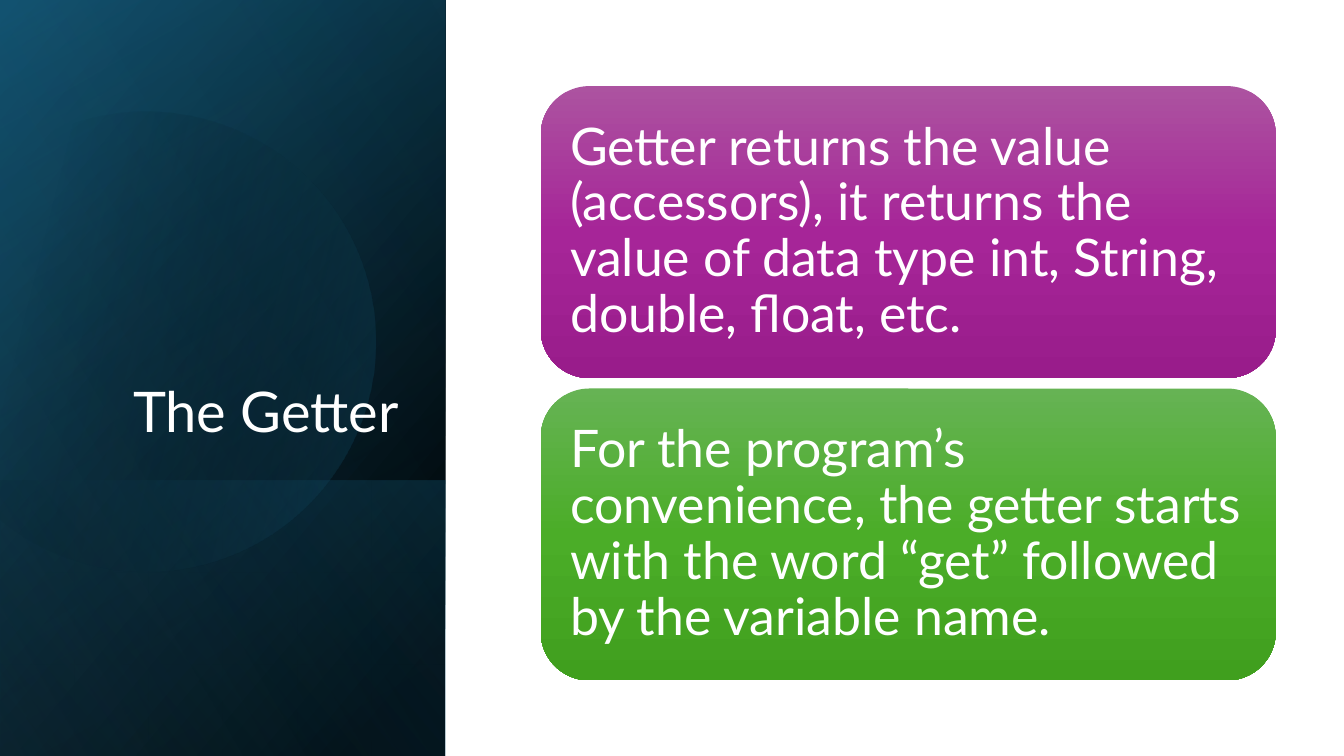
"""Build the slide on getters: a dark gradient panel with a title and two coloured cards."""
from dataclasses import dataclass
from itertools import pairwise
from math import cos, radians, sin, tan

from lxml import etree
from pptx import Presentation
from pptx.dml.color import RGBColor
from pptx.enum.shapes import MSO_SHAPE
from pptx.enum.text import MSO_ANCHOR, PP_ALIGN
from pptx.oxml.ns import qn
from pptx.shapes.autoshape import Shape
from pptx.slide import Slide
from pptx.util import Pt

PX = 9525
RECT = MSO_SHAPE.RECTANGLE
ROUNDED = MSO_SHAPE.ROUNDED_RECTANGLE
MIDDLE, BOTTOM = MSO_ANCHOR.MIDDLE, MSO_ANCHOR.BOTTOM
LEFT, RIGHT = PP_ALIGN.LEFT, PP_ALIGN.RIGHT

FONT = "Lato"
WHITE, BLACK = "FFFFFF", "000000"
DEEP_BLUE, TEAL, SKY = "104862", "156082", "46B1E1"
CARD_LEFT, CARD_TOP, CARD_WIDTH, CARD_HEIGHT = 515, 82, 700, 278
CARD_PITCH, CARD_INSET, TEXT_MARGIN = 288, 14, 14


@dataclass(frozen=True)
class Stop:
    pos: int
    color: str
    alpha: int = 100


@dataclass(frozen=True)
class Gradient:
    angle: int
    stops: tuple[Stop, ...]


@dataclass(frozen=True)
class Layer:
    left: int
    top: int
    width: int
    height: int
    gradient: Gradient


@dataclass(frozen=True)
class Card:
    text: str
    colors: tuple[str, str, str]


PANEL = (-148, 148, 720, 424)
FOOT = (81, 377, 263, 424)
BACK_LAYERS = (
    Layer(*PANEL, Gradient(50, (Stop(8, BLACK), Stop(100, DEEP_BLUE)))),
    Layer(*PANEL, Gradient(30, (Stop(0, BLACK, 0), Stop(99, TEAL, 46)))),
    Layer(*FOOT, Gradient(130, (Stop(2, TEAL, 29), Stop(100, BLACK, 30)))),
)
DISC_GRADIENT = Gradient(30, (Stop(29, BLACK, 0), Stop(100, TEAL, 43)))
FRONT_LAYER = Layer(*PANEL, Gradient(120, (Stop(0, BLACK, 0), Stop(99, SKY, 11))))

CARDS = (
    Card("Getter returns the value (accessors), it returns the value of "
         "data type int, String, double, float, etc.",
         ("AC53A0", "A62598", "991C8B")),
    Card("For the program’s convenience, the getter starts with the word "
         "“get” followed by the variable name.",
         ("66B354", "4BAD28", "409F1E")),
)


def rgb(color: str) -> RGBColor:
    """Turn a hex string into a colour."""
    return RGBColor.from_string(color)


def paint(sp: Shape, gradient: Gradient) -> None:
    """Fill a shape with a gradient and remove its line and shadow."""
    sp.shadow.inherit = False
    sp.line.fill.background()
    sp.fill.gradient()
    sp.fill.gradient_angle = 360 - gradient.angle
    stop_list = sp._element.spPr.find(".//" + qn("a:gsLst"))
    for old in list(stop_list):
        stop_list.remove(old)
    for stop in gradient.stops:
        gs = etree.SubElement(stop_list, qn("a:gs"), pos=str(stop.pos * 1000))
        clr = etree.SubElement(gs, qn("a:srgbClr"), val=str(rgb(stop.color)))
        if stop.alpha < 100:
            etree.SubElement(clr, qn("a:alpha"), val=str(stop.alpha * 1000))


def add_layer(s: Slide, layer: Layer) -> None:
    """Draw a mirrored rectangle turned upright."""
    sp = s.shapes.add_shape(RECT, layer.left * PX, layer.top * PX,
                            layer.width * PX, layer.height * PX)
    sp.rotation = 90
    sp._element.spPr.find(qn("a:xfrm")).set("flipH", "1")
    paint(sp, layer.gradient)


def arc_points(cx: int, cy: int, radius: int, angles: tuple[int, ...]) -> list[tuple[float, float]]:
    """Give the start point of an arc, then three Bezier points for each step."""
    def on_arc(angle: int, pull: float = 0) -> tuple[float, float]:
        """Give the point at an angle, moved along the tangent."""
        c, n = cos(radians(angle)), sin(radians(angle))
        return cx + radius * (c - pull * n), cy + radius * (n + pull * c)

    points = [on_arc(angles[0])]
    for start, end in pairwise(angles):
        pull = 4 / 3 * tan(radians(end - start) / 4)
        points += [on_arc(start, pull), on_arc(end, -pull), on_arc(end)]
    return points


def add_disc(s: Slide) -> None:
    """Draw the tilted disc that is cut off along its left side."""
    points = arc_points(138, 321, 219, (-118, -90, 0, 90, 150))
    builder = s.shapes.build_freeform(*points[0], scale=PX)
    builder.add_line_segments(points[1:], close=True)
    sp = builder.convert_to_shape()
    lines = sp._element.spPr.findall(".//" + qn("a:lnTo"))
    for first, second, third in zip(lines[::3], lines[1::3], lines[2::3]):
        curve = etree.Element(qn("a:cubicBezTo"))
        first.addprevious(curve)
        for line in (first, second, third):
            curve.append(line[0])
            line.getparent().remove(line)
    sp.rotation = 343.9
    paint(sp, DISC_GRADIENT)


def write(sp: Shape, text: str, size: int, align: PP_ALIGN, anchor: MSO_ANCHOR) -> None:
    """Put one white paragraph into a shape."""
    tf = sp.text_frame
    tf.word_wrap = True
    tf.vertical_anchor = anchor
    p = tf.paragraphs[0]
    p.alignment = align
    p.line_spacing = 0.9
    r = p.add_run()
    r.text = text
    r.font.name = FONT
    r.font.size = Pt(size)
    r.font.color.rgb = rgb(WHITE)


def add_card(s: Slide, index: int, card: Card) -> None:
    """Draw one rounded card with its text."""
    top = CARD_TOP + index * CARD_PITCH
    sp = s.shapes.add_shape(ROUNDED, CARD_LEFT * PX, top * PX,
                            CARD_WIDTH * PX, CARD_HEIGHT * PX)
    paint(sp, Gradient(90, tuple(Stop(50 * i, c) for i, c in enumerate(card.colors))))
    box = s.shapes.add_textbox((CARD_LEFT + CARD_INSET) * PX, (top + CARD_INSET) * PX,
                               (CARD_WIDTH - 2 * CARD_INSET) * PX,
                               (CARD_HEIGHT - 2 * CARD_INSET) * PX)
    tf = box.text_frame
    tf.margin_left = tf.margin_right = TEXT_MARGIN * PX
    tf.margin_top = tf.margin_bottom = TEXT_MARGIN * PX
    write(box, card.text, 37, LEFT, MIDDLE)


def main() -> None:
    """Build and save the presentation."""
    prs = Presentation()
    prs.slide_width, prs.slide_height = 1280 * PX, 720 * PX
    s = prs.slides.add_slide(prs.slide_layouts[6])
    for layer in BACK_LAYERS:
        add_layer(s, layer)
    add_disc(s)
    add_layer(s, FRONT_LAYER)
    title = s.shapes.add_textbox(62 * PX, 176 * PX, 327 * PX, 252 * PX)
    write(title, "The Getter", 40, RIGHT, BOTTOM)
    for index, card in enumerate(CARDS):
        add_card(s, index, card)
    prs.save("out.pptx")


if __name__ == "__main__":
    main()
